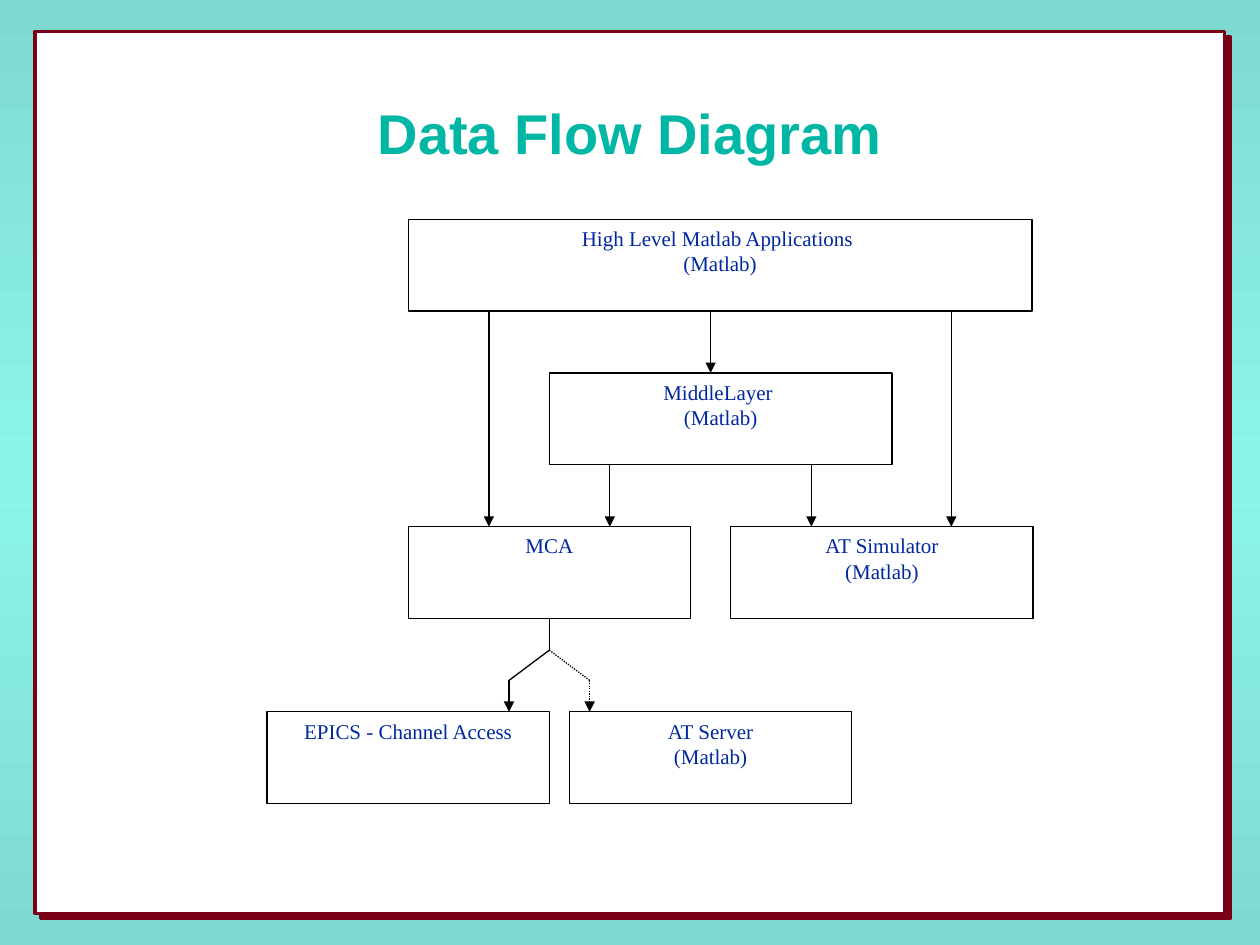
from copy import deepcopy
from typing import NamedTuple, Optional

from lxml.etree import SubElement
from pptx import Presentation
from pptx.dml.color import RGBColor
from pptx.enum.dml import MSO_LINE
from pptx.enum.shapes import MSO_CONNECTOR, MSO_SHAPE
from pptx.enum.text import MSO_ANCHOR, PP_ALIGN
from pptx.oxml.ns import qn
from pptx.util import Inches, Pt

COLORS = {
    "edge": "7DDAD1", "glow": "8CF4EA", "paper": "FFFFFF", "frame": "790015",
    "title": "00B7A5", "label": "00279F", "line": "000000",
}
TITLE_FONT = {"name": "Arial", "size": Pt(32), "bold": True}
LABEL_FONT = {"name": "Times New Roman", "size": Pt(12), "bold": False}
BOX_HEIGHT = 0.73
# Tops of the four rows of boxes
APPS_TOP, MIDDLE_TOP, ACCESS_TOP, SERVER_TOP = 1.74, 2.96, 4.18, 5.65


class Box(NamedTuple):
    left: float
    top: float
    width: float
    lines: tuple


class Flow(NamedTuple):
    start: tuple
    end: tuple
    arrow: bool = True
    dotted: bool = False
    source: Optional[str] = None  # box whose bottom middle is the start


BOXES = {
    "apps": Box(3.24, APPS_TOP, 4.95, ("High Level Matlab Applications ", "(Matlab)")),
    "mca": Box(3.24, ACCESS_TOP, 2.24, ("MCA",)),
    "middle": Box(4.36, MIDDLE_TOP, 2.72, ("MiddleLayer ", "(Matlab)")),
    "simulator": Box(5.8, ACCESS_TOP, 2.4, ("AT Simulator", "(Matlab)")),
    "epics": Box(2.12, SERVER_TOP, 2.24, ("EPICS - Channel Access",)),
    "server": Box(4.52, SERVER_TOP, 2.24, ("AT Server", "(Matlab)")),
}


def drop(x: float, top: float, bottom: float) -> Flow:
    """Vertical arrow from the underside of one row to the next."""
    return Flow((x, top + BOX_HEIGHT), (x, bottom))


def branch(x: float, dotted: bool) -> list:
    """Slanted line from the fork, then an arrow down to the server row."""
    return [Flow(FORK, (x, 5.4), False, dotted),
            Flow((x, 5.4), (x, SERVER_TOP), True, dotted)]


FORK = (4.36, 5.16)
FLOWS = [
    drop(5.64, APPS_TOP, MIDDLE_TOP),
    drop(3.88, APPS_TOP, ACCESS_TOP),
    drop(7.55, APPS_TOP, ACCESS_TOP),
    drop(4.84, MIDDLE_TOP, ACCESS_TOP),
    drop(6.44, MIDDLE_TOP, ACCESS_TOP),
    Flow((4.36, ACCESS_TOP + BOX_HEIGHT), FORK, arrow=False, source="mca"),
    *branch(4.04, dotted=False),
    *branch(4.68, dotted=True),
]


def rgb(name: str) -> RGBColor:
    return RGBColor.from_string(COLORS[name])


def paint_background(slide) -> None:
    fill = slide.background.fill
    fill.gradient()
    fill.gradient_angle = 90
    stop_list = slide.element.find(".//" + qn("a:gsLst"))
    stop_list.insert(1, deepcopy(stop_list[0]))
    for stop, position, name in zip(fill.gradient_stops, (0, 0.5, 1),
                                    ("edge", "glow", "edge")):
        stop.position = position
        stop.color.rgb = rgb(name)


def add_panel(slide, left: float, top: float, width: float, height: float,
              line_color: str, line_width: float):
    panel = slide.shapes.add_shape(MSO_SHAPE.RECTANGLE, Inches(left), Inches(top),
                                   Inches(width), Inches(height))
    panel.shadow.inherit = False
    panel.fill.solid()
    panel.fill.fore_color.rgb = rgb("paper")
    panel.line.color.rgb = rgb(line_color)
    panel.line.width = Pt(line_width)
    return panel


def add_hard_shadow(panel) -> None:
    effects = panel.element.spPr.find(qn("a:effectLst"))
    shadow = SubElement(effects, qn("a:outerShdw"), dist=str(Pt(4.2)),
                        dir="2700000", algn="ctr", rotWithShape="0")
    SubElement(shadow, qn("a:srgbClr"), val=COLORS["frame"])


def write(frame, lines: tuple, font: dict, color: str, anchor) -> None:
    frame.word_wrap = True
    frame.vertical_anchor = anchor
    for index, line in enumerate(lines):
        paragraph = frame.add_paragraph() if index else frame.paragraphs[0]
        paragraph.alignment = PP_ALIGN.CENTER
        run = paragraph.add_run()
        run.text = line
        for key, value in font.items():
            setattr(run.font, key, value)
        run.font.color.rgb = rgb(color)


def add_box(slide, box: Box):
    panel = add_panel(slide, box.left, box.top, box.width, BOX_HEIGHT, "line", 0.75)
    write(panel.text_frame, box.lines, LABEL_FONT, "label", MSO_ANCHOR.TOP)
    return panel


def add_flow(slide, flow: Flow, panels: dict) -> None:
    ends = [Inches(value) for value in flow.start + flow.end]
    connector = slide.shapes.add_connector(MSO_CONNECTOR.STRAIGHT, *ends)
    if flow.source:
        connector.begin_connect(panels[flow.source], 2)
    connector.line.color.rgb = rgb("line")
    connector.line.width = Pt(0.75)
    if flow.dotted:
        connector.line.dash_style = MSO_LINE.ROUND_DOT
    properties = connector.element.spPr
    if flow.arrow:
        SubElement(properties.find(qn("a:ln")), qn("a:tailEnd"), type="triangle")
    SubElement(properties, qn("a:effectLst"))


def main() -> None:
    deck = Presentation()
    deck.slide_width, deck.slide_height = Inches(10), Inches(7.5)
    slide = deck.slides.add_slide(deck.slide_layouts[6])

    # Background and framed page
    paint_background(slide)
    add_hard_shadow(add_panel(slide, 0.28, 0.25, 9.44, 7, "frame", 2))

    # Title
    title = slide.shapes.add_textbox(Inches(0.75), Inches(0.67),
                                     Inches(8.5), Inches(0.75))
    write(title.text_frame, ("Data Flow Diagram",), TITLE_FONT, "title",
          MSO_ANCHOR.MIDDLE)

    # Diagram
    panels = {key: add_box(slide, box) for key, box in BOXES.items()}
    for flow in FLOWS:
        add_flow(slide, flow, panels)

    deck.save("out.pptx")


if __name__ == "__main__":
    main()
